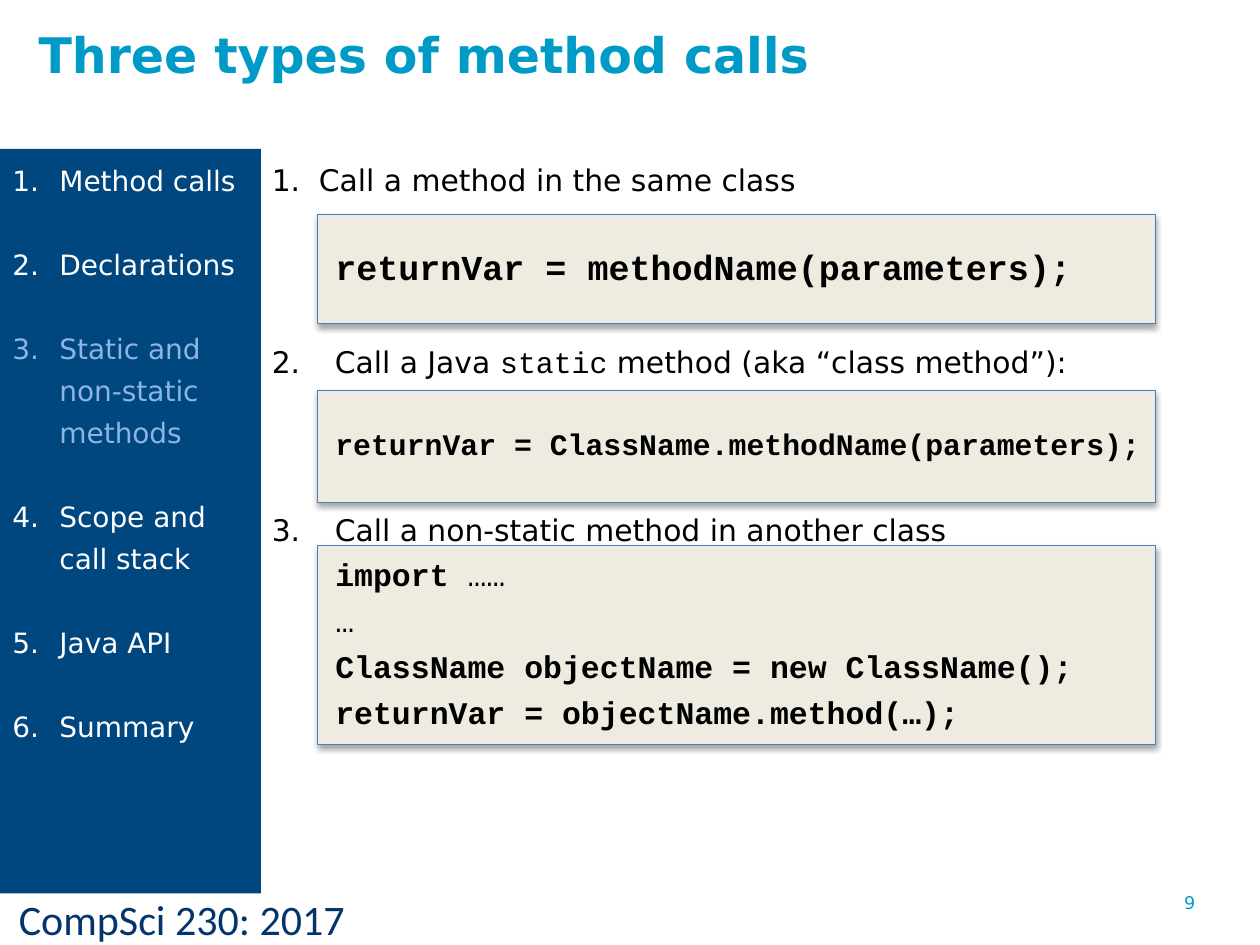
from lxml import etree
from pptx import Presentation
from pptx.dml.color import RGBColor
from pptx.enum.shapes import MSO_SHAPE
from pptx.enum.text import MSO_ANCHOR, PP_ALIGN
from pptx.oxml import parse_xml
from pptx.oxml.ns import nsdecls, qn
from pptx.util import Cm, Pt

WHITE = RGBColor(0xFF, 0xFF, 0xFF)
BLACK = RGBColor(0x00, 0x00, 0x00)
CYAN = RGBColor(0x00, 0x9A, 0xC7)
NAVY = RGBColor(0x04, 0x34, 0x6C)
SIDEBAR_BLUE = RGBColor(0x00, 0x46, 0x7F)
CURRENT_BLUE = RGBColor(0x8E, 0xB4, 0xE3)
CODE_FILL = RGBColor(0xEE, 0xEC, 0xE1)
CODE_LINE = RGBColor(0x4B, 0x7E, 0xBC)
SANS, MONO = "DejaVu Sans", "Courier New"

SHADOW = (
    f'<a:outerShdw {nsdecls("a")} blurRad="39400" dist="22900" dir="5400000" '
    'rotWithShape="0"><a:srgbClr val="000000"><a:alpha val="35000"/>'
    '</a:srgbClr></a:outerShdw>'
)


def style(r, font, size, color, bold=False):
    r.font.name, r.font.size, r.font.bold = font, Pt(size), bold
    r.font.color.rgb = color


def number(p, n, indent):
    """Number a paragraph as n with a hanging indent, on 24 pt lines."""
    pPr = p._p.get_or_add_pPr()
    pPr.set("marL", str(indent))
    pPr.set("indent", str(-indent))
    etree.SubElement(pPr, qn("a:buFont"), typeface="+mj-lt")
    etree.SubElement(pPr, qn("a:buAutoNum"), type="arabicPeriod", startAt=str(n))
    p.line_spacing = Pt(24)
    p.alignment = PP_ALIGN.LEFT


prs = Presentation()
prs.slide_width, prs.slide_height = Cm(25.4), Cm(19.05)
s = prs.slides.add_slide(prs.slide_layouts[6])

# Title, course footer and page number
labels = [
    ("Three types of method calls", 0.53, 0.36, 20.5, 1.98, SANS, 28, CYAN, True),
    ("CompSci 230: 2017", 0.13, 17.88, 10.29, 1.17, "Calibri", 24, NAVY, False),
    ("9", 23.62, 17.86, 1.5, 1.0, SANS, 10, CYAN, False),
]
for text, x, y, w, h, font, size, color, bold in labels:
    tf = s.shapes.add_textbox(Cm(x), Cm(y), Cm(w), Cm(h)).text_frame
    tf.word_wrap = True
    tf.text = text
    style(tf.paragraphs[0].runs[0], font, size, color, bold)

# Sidebar with the lecture outline
topics = ["Method calls", "Declarations", "Static and non-static methods",
          "Scope and call stack", "Java API", "Summary"]
current = 3
sp = s.shapes.add_shape(MSO_SHAPE.RECTANGLE, 0, Cm(3), Cm(5.26), Cm(15.01))
sp.shadow.inherit = False
sp.fill.solid()
sp.fill.fore_color.rgb = SIDEBAR_BLUE
sp.line.fill.background()
tf = sp.text_frame
tf.word_wrap = True
tf.vertical_anchor = MSO_ANCHOR.TOP
for n, topic in enumerate(topics, 1):
    p = tf.paragraphs[0] if n == 1 else tf.add_paragraph()
    number(p, n, Cm(0.95))
    if n > 1:
        p.space_before = Pt(24)
    r = p.add_run()
    r.text = topic
    style(r, SANS, 16, CURRENT_BLUE if n == current else WHITE)

# The three kinds of call: indent, space before, runs
calls = [
    (0.95, 0, [("Call a method in the same class", SANS)]),
    (1.27, 80, [("Call a Java ", SANS), ("static", MONO),
                (" method (aka “class method”):", SANS)]),
    (1.27, 72, [("Call a non-static method in another class", SANS)]),
]
tf = s.shapes.add_textbox(Cm(5.23), Cm(3), Cm(19.18), Cm(8.5)).text_frame
tf.word_wrap = True
for n, (indent, before, runs) in enumerate(calls, 1):
    p = tf.paragraphs[0] if n == 1 else tf.add_paragraph()
    number(p, n, Cm(indent))
    if before:
        p.space_before = Pt(before)
    for text, font in runs:
        r = p.add_run()
        r.text = text
        style(r, font, 17, BLACK)

# Code boxes: top, height, size, lines of (text, bold) runs
code_boxes = [
    (4.32, 2.21, 20, [[("returnVar = methodName(parameters);", True)]]),
    (7.87, 2.26, 17, [[("returnVar = ClassName.methodName(parameters);", True)]]),
    (11, 4.01, 18, [
        [("import", True), (" ……", False)],
        [("…", False)],
        [("ClassName objectName = new ClassName();", True)],
        [("returnVar = objectName.method(…);", True)],
    ]),
]
for top, height, size, lines in code_boxes:
    sp = s.shapes.add_shape(MSO_SHAPE.RECTANGLE, Cm(6.4), Cm(top), Cm(16.89), Cm(height))
    sp.shadow.inherit = False
    sp._element.spPr.find(qn("a:effectLst")).append(parse_xml(SHADOW))
    sp.fill.solid()
    sp.fill.fore_color.rgb = CODE_FILL
    sp.line.color.rgb = CODE_LINE
    sp.line.width = Pt(0.75)
    tf = sp.text_frame
    tf.word_wrap = True
    tf.vertical_anchor = MSO_ANCHOR.MIDDLE
    tf.margin_left = Cm(0.36)
    tf.margin_right = tf.margin_top = 0
    tf.margin_bottom = Cm(0.1)
    for i, runs in enumerate(lines):
        p = tf.add_paragraph() if i else tf.paragraphs[0]
        p.alignment = PP_ALIGN.LEFT
        if i:
            p.space_before = Pt(4.7)
        for text, bold in runs:
            r = p.add_run()
            r.text = text
            style(r, MONO, size, BLACK, bold)

prs.save("out.pptx")
